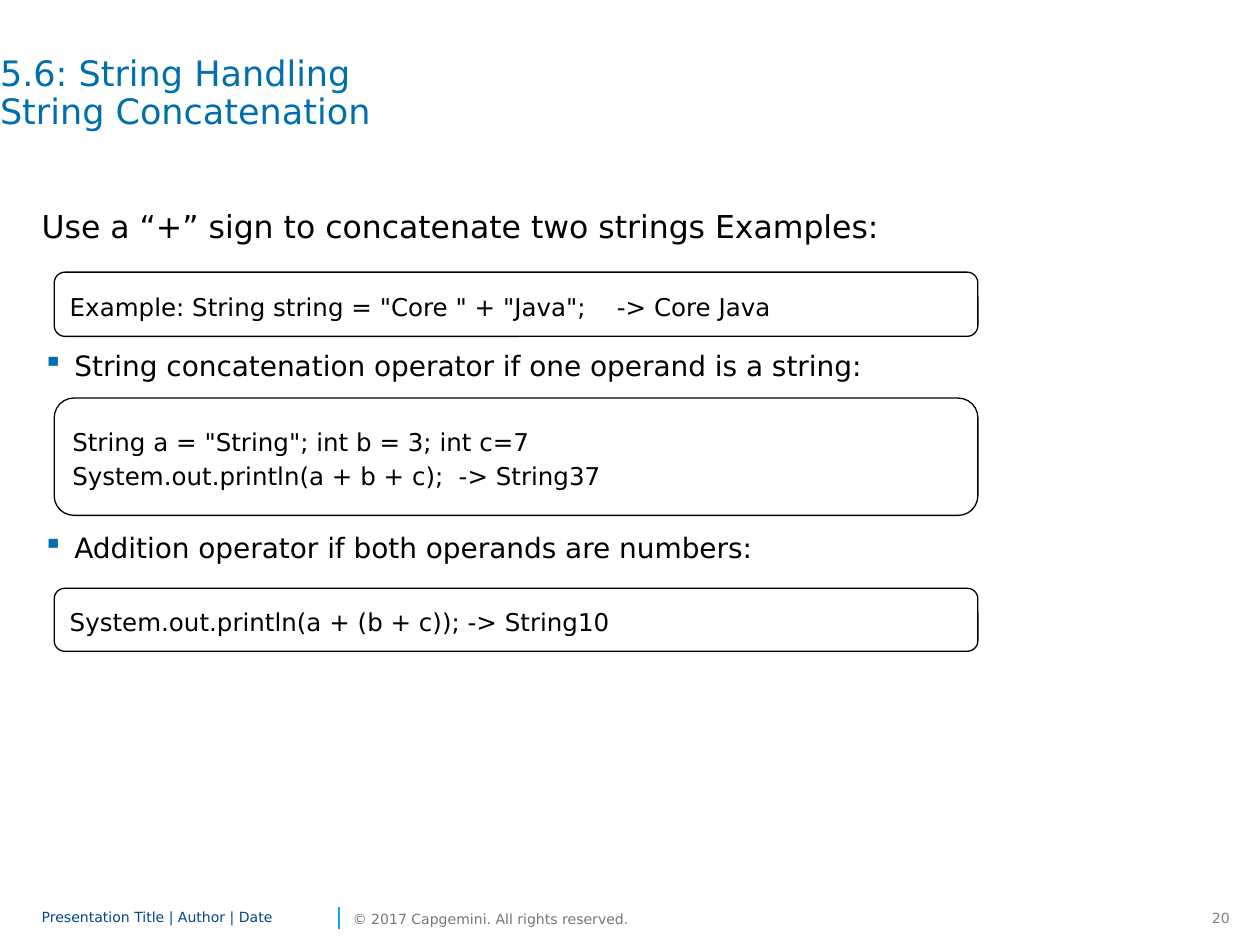
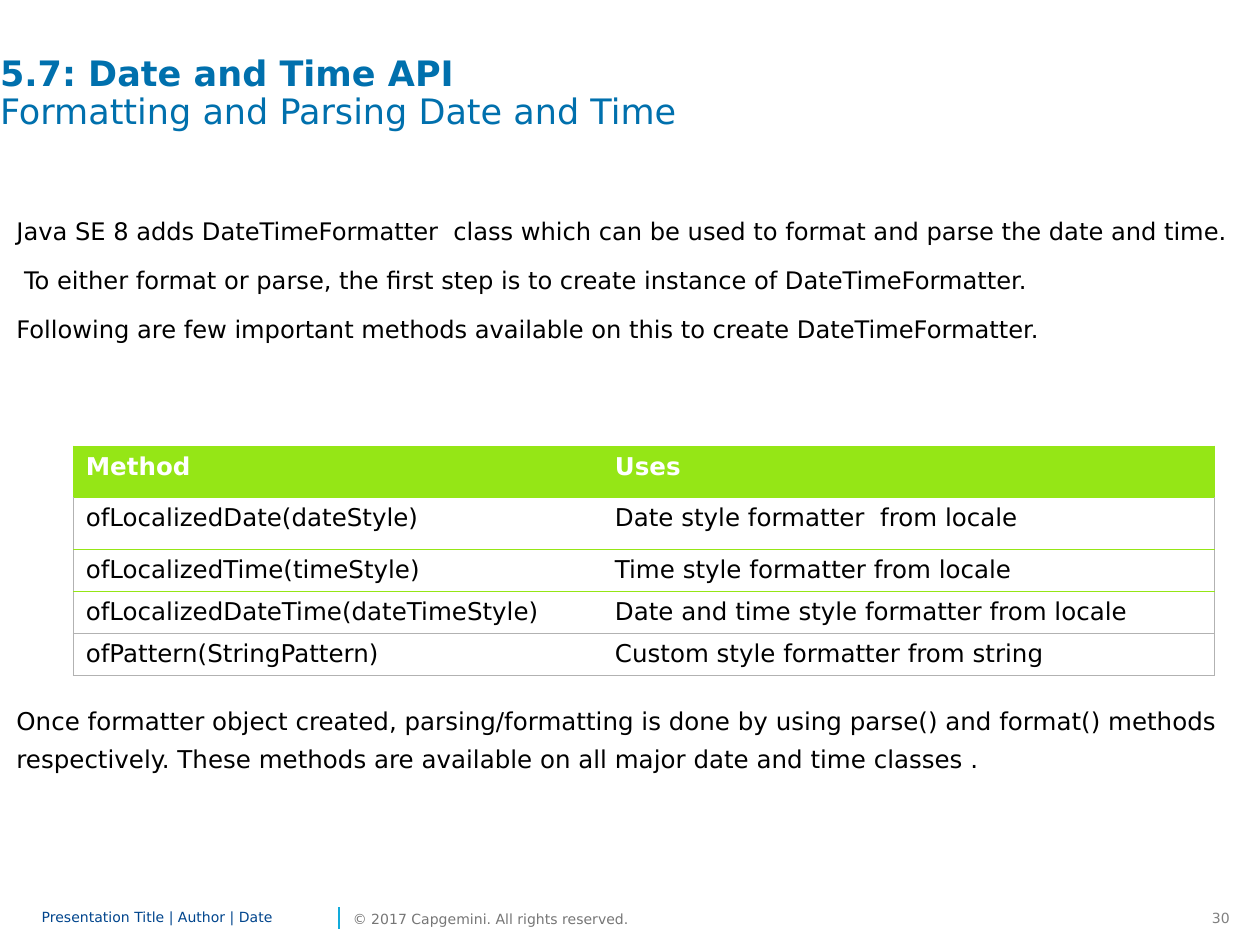
from lxml.etree import SubElement
from pptx import Presentation
from pptx.dml.color import RGBColor
from pptx.enum.shapes import MSO_CONNECTOR, MSO_SHAPE
from pptx.enum.text import MSO_ANCHOR, PP_ALIGN
from pptx.oxml.ns import qn
from pptx.util import Pt

FONT = "DejaVu Sans"
BLACK = RGBColor(0x00, 0x00, 0x00)
WHITE = RGBColor(0xFF, 0xFF, 0xFF)
TITLE_BLUE = RGBColor(0x00, 0x70, 0xAD)
FOOTER_BLUE = RGBColor(0x00, 0x45, 0x8D)
DIVIDER_CYAN = RGBColor(0x12, 0xAB, 0xDB)
COPYRIGHT_GREY = RGBColor(0x76, 0x76, 0x76)
NUMBER_GREY = RGBColor(0x80, 0x80, 0x80)
TABLE_GREEN = RGBColor(0x95, 0xE6, 0x16)
TABLE_GREY = RGBColor(0xB2, 0xB2, 0xB2)

BODY_TOP = 118.1
PARAGRAPH_GAP = 6


def add_span(para, text, size, color=BLACK, bold=False):
    span = para.add_run()
    span.text = text
    span.font.name = FONT
    span.font.size = Pt(size)
    span.font.bold = bold
    span.font.color.rgb = color


def add_text_box(page, left, top, width, height, anchor=MSO_ANCHOR.TOP, margin=0, wrap=True):
    frame = page.shapes.add_textbox(Pt(left), Pt(top), Pt(width), Pt(height)).text_frame
    frame.word_wrap = wrap
    frame.vertical_anchor = anchor
    frame.margin_left = frame.margin_right = Pt(margin)
    frame.margin_top = frame.margin_bottom = Pt(margin / 2)
    return frame


def next_paragraph(frame):
    """Return the first paragraph while it is unused, else a new one."""
    first = frame.paragraphs[0]
    return frame.add_paragraph() if first.runs else first


def add_body_paragraph(frame, text, size, line=22, before=0, indent=0):
    para = next_paragraph(frame)
    para.line_spacing = Pt(line)
    para.space_after = Pt(PARAGRAPH_GAP)
    if before:
        para.space_before = Pt(before)
    if indent:
        para._p.get_or_add_pPr().set("marL", str(Pt(indent)))
    add_span(para, text, size)
    return para


def add_bullet_paragraph(frame, text, skipped_lines):
    """Add a bullet below room for a code box that is some lines high."""
    line = 20
    before = skipped_lines * (line + PARAGRAPH_GAP)
    para = add_body_paragraph(frame, text, 16, line, before)
    properties = para._p.get_or_add_pPr()
    properties.set("marL", str(Pt(18.7)))
    properties.set("indent", str(Pt(-18)))
    bullet_color = SubElement(properties, qn("a:buClr"))
    SubElement(bullet_color, qn("a:srgbClr"), val=str(TITLE_BLUE))
    SubElement(properties, qn("a:buChar"), char="▪")


def add_title(page, section, topic, bold_section=False):
    para = add_text_box(page, 0, 32.4, 672, 67.7).paragraphs[0]
    para.line_spacing = 0.9
    add_span(para, section, 20, TITLE_BLUE, bold_section)
    para.add_line_break()
    add_span(para, topic, 20, TITLE_BLUE)


def add_footer(page, number):
    top, height = 516.2, 17.3
    para = add_text_box(page, 23.8, top, 167, height, MSO_ANCHOR.MIDDLE).paragraphs[0]
    para.line_spacing = 0.85
    add_span(para, "Presentation Title | Author | Date", 8, FOOTER_BLUE)

    divider = page.shapes.add_connector(
        MSO_CONNECTOR.STRAIGHT, Pt(193.7), Pt(530.6), Pt(193.7), Pt(518.4))
    divider.line.color.rgb = DIVIDER_CYAN
    divider.line.width = Pt(1)
    SubElement(divider._element.spPr, qn("a:effectLst"))

    para = add_text_box(page, 201.6, top, 160, height, MSO_ANCHOR.MIDDLE).paragraphs[0]
    add_span(para, "© 2017 Capgemini. All rights reserved.", 8, COPYRIGHT_GREY)

    para = add_text_box(page, 681.8, top, 28.1, height, margin=7.2, wrap=False).paragraphs[0]
    para.alignment = PP_ALIGN.RIGHT
    add_span(para, str(number), 8, NUMBER_GREY)


def add_code_box(page, top, height, lines, result_tab=None):
    """Draw a rounded code box; result_tab places text that follows a tab."""
    box = page.shapes.add_shape(
        MSO_SHAPE.ROUNDED_RECTANGLE, Pt(31), Pt(top), Pt(527.8), Pt(height))
    box.adjustments[0] = 0.167
    box.shadow.inherit = False
    box.fill.solid()
    box.fill.fore_color.rgb = WHITE
    box.line.color.rgb = BLACK
    box.line.width = Pt(0.75)
    frame = box.text_frame
    frame.word_wrap = True
    frame.vertical_anchor = MSO_ANCHOR.MIDDLE
    for text in lines:
        para = next_paragraph(frame)
        para.alignment = PP_ALIGN.LEFT
        para.line_spacing = 1.15
        if result_tab:
            tabs = SubElement(para._p.get_or_add_pPr(), qn("a:tabLst"))
            SubElement(tabs, qn("a:tab"), pos=str(Pt(result_tab)), algn="l")
        add_span(para, text, 14)


def set_borders(cell, **colors):
    """Set the four cell borders; a side without a colour gets no line."""
    properties = cell._tc.get_or_add_tcPr()
    for side in "LRTB":
        border = SubElement(properties, qn(f"a:ln{side}"), w=str(Pt(0.5)))
        if side in colors:
            fill = SubElement(border, qn("a:solidFill"))
            SubElement(fill, qn("a:srgbClr"), val=str(colors[side]))
        else:
            SubElement(border, qn("a:noFill"))


def add_method_table(page, rows):
    heights = [29.4, 29.4, 23.8, 23.8, 23.8]
    rules = [TABLE_GREEN] * 3 + [TABLE_GREY] * 2
    widths = [302.4, 349.9]
    table = page.shapes.add_table(
        len(rows), len(widths), Pt(41.8), Pt(254.9), Pt(sum(widths)), Pt(sum(heights))).table
    for column, width in zip(table.columns, widths):
        column.width = Pt(width)
    for row_index, texts in enumerate(rows):
        table.rows[row_index].height = Pt(heights[row_index])
        is_header = row_index == 0
        outer = TABLE_GREEN if is_header else TABLE_GREY
        for column_index, text in enumerate(texts):
            cell = table.cell(row_index, column_index)
            outer_side = "L" if column_index == 0 else "R"
            set_borders(cell, T=rules[max(row_index - 1, 0)], B=rules[row_index],
                        **{outer_side: outer})
            cell.fill.solid()
            cell.fill.fore_color.rgb = TABLE_GREEN if is_header else WHITE
            add_span(cell.text_frame.paragraphs[0], text, 14,
                     WHITE if is_header else BLACK, is_header)


def build_concatenation_page(page):
    add_footer(page, 20)
    add_title(page, "5.6: String Handling", "String Concatenation")
    body = add_text_box(page, 23.8, BODY_TOP, 696.2, 365.8)
    add_body_paragraph(body, "Use a “+” sign to concatenate two strings Examples:", 18)
    add_bullet_paragraph(body, "String concatenation operator if one operand is a string:", 2)
    add_bullet_paragraph(body, "Addition operator if both operands are numbers:", 3)
    add_code_box(page, 155.5, 36.7,
                 ['Example: String string = "Core " + "Java";\t-> Core Java'], 312.6)
    add_code_box(page, 227.5, 67,
                 ['String a = "String"; int b = 3; int c=7',
                  "System.out.println(a + b + c);\t-> String37"], 220.8)
    add_code_box(page, 336.2, 36, ["System.out.println(a + (b + c)); -> String10"])


def build_formatting_page(page):
    add_footer(page, 30)
    add_title(page, "5.7: Date and Time API", "Formatting and Parsing Date and Time", True)
    body = add_text_box(page, 9.4, BODY_TOP, 710.6, 365.8)
    add_body_paragraph(
        body, "Java SE 8 adds DateTimeFormatter  class which can be used to format and parse "
        "the date and time.", 13.8)
    add_body_paragraph(
        body, "To either format or parse, the first step is to create instance of "
        "DateTimeFormatter.", 13.8, indent=4.4)
    add_body_paragraph(
        body, "Following are few important methods available on this to create "
        "DateTimeFormatter.", 13.8)
    add_body_paragraph(
        body, "Once formatter object created, parsing/formatting is done by using parse() and "
        "format() methods respectively. These methods are available on all major date and "
        "time classes .", 14, before=196)
    add_method_table(page, [
        ("Method", "Uses"),
        ("ofLocalizedDate(dateStyle)", "Date style formatter  from locale"),
        ("ofLocalizedTime(timeStyle)", "Time style formatter from locale"),
        ("ofLocalizedDateTime(dateTimeStyle)", "Date and time style formatter from locale"),
        ("ofPattern(StringPattern)", "Custom style formatter from string"),
    ])


def main():
    deck = Presentation()
    deck.slide_width = Pt(720)
    deck.slide_height = Pt(540)
    blank = deck.slide_layouts[6]
    for build_page in (build_concatenation_page, build_formatting_page):
        build_page(deck.slides.add_slide(blank))
    deck.save("out.pptx")


if __name__ == "__main__":
    main()
